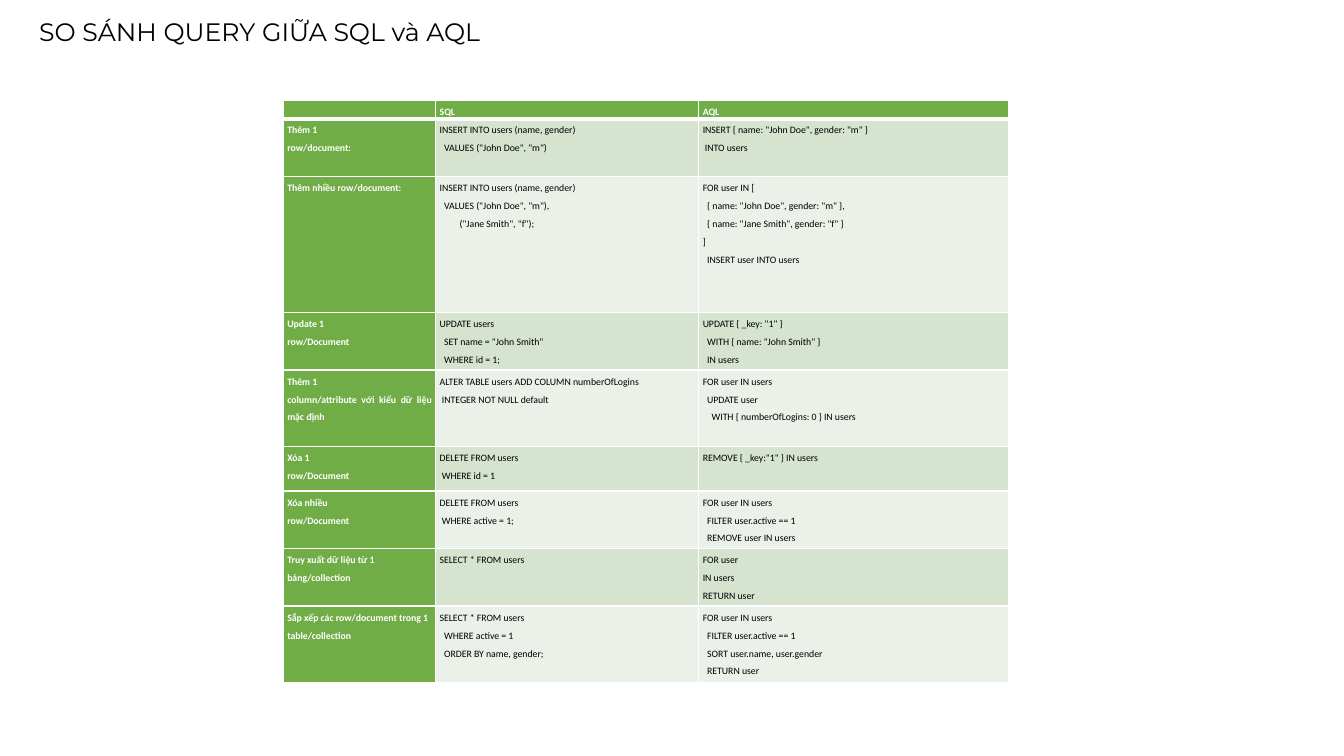
from dataclasses import dataclass

from lxml.etree import SubElement as Sub
from pptx import Presentation as Deck
from pptx.dml.color import RGBColor as Rgb
from pptx.enum.text import MSO_AUTO_SIZE as Fit, PP_ALIGN as Align
from pptx.oxml.ns import qn
from pptx.util import Cm, Pt


@dataclass(frozen=True)
class Theme:
    green: str = "70AD47"
    bands: tuple = ("D5E3CF", "EBF1E9")
    white: str = "FFFFFF"
    black: str = "000000"
    head: str = "Montserrat"
    body: str = "Calibri"
    big: int = 18
    small: int = 7
    thin: int = 1
    thick: int = 3
    step: float = 0.056  # indent in cm for one leading space


def write(frame, text, *, font, size, color, bold=False, align=None, space=None, step=0):
    """Fill a text frame; leading spaces of a line become its indent."""
    for i, line in enumerate(text.split("\n")):
        para = frame.add_paragraph() if i else frame.paragraphs[0]
        para.alignment, para.line_spacing = align, space
        words = line.lstrip()
        depth = len(line) - len(words)
        if depth:
            props = para._p.get_or_add_pPr()
            props.set("marL", str(Cm(depth * step)))
            props.set("indent", "0")
        if not words:
            para._p.get_or_add_endParaRPr().set("sz", str(size * 100))
            continue
        run = para.add_run()
        run.text = words
        run.font.name, run.font.size, run.font.bold = font, Pt(size), bold
        run.font.color.rgb = Rgb.from_string(color)


class Page:
    def __init__(self, slide, theme):
        self.slide, self.theme = slide, theme

    def title(self, text, left, top, width, height):
        t = self.theme
        box = self.slide.shapes.add_textbox(Cm(left), Cm(top), Cm(width), Cm(height))
        box.text_frame.word_wrap = True
        box.text_frame.auto_size = Fit.SHAPE_TO_FIT_TEXT
        write(box.text_frame, text, font=t.head, size=t.big, color=t.black)

    def edge(self, cell, top, bottom):
        """Add the four white borders; they must come before the fill."""
        props = cell._tc.get_or_add_tcPr()
        sides = {"L": self.theme.thin, "R": self.theme.thin, "T": top, "B": bottom}
        for side, width in sides.items():
            line = Sub(props, qn("a:ln" + side), w=str(Pt(width)))
            fill = Sub(line, qn("a:solidFill"))
            Sub(fill, qn("a:srgbClr"), val=self.theme.white)

    def cell(self, cell, text, row, col):
        t = self.theme
        label = row == 0 or col == 0
        self.edge(cell, t.thick if row == 1 else t.thin, t.thick if row == 0 else t.thin)
        cell.fill.solid()
        cell.fill.fore_color.rgb = Rgb.from_string(t.green if label else t.bands[(row - 1) % 2])
        cell.margin_left = cell.margin_right = Cm(0.1)
        cell.margin_top = cell.margin_bottom = 0
        write(cell.text_frame, text, font=t.body, size=t.small, bold=label,
              color=t.white if label else t.black,
              align=Align.JUSTIFY, space=1.5, step=t.step)

    def table(self, rows, left, top, widths, heights):
        grid = self.slide.shapes.add_table(
            len(rows), len(widths), Cm(left), Cm(top), Cm(sum(widths)), Cm(sum(heights))).table
        for col, width in zip(grid.columns, widths):
            col.width = Cm(width)
        for r, (texts, height) in enumerate(zip(rows, heights)):
            grid.rows[r].height = Cm(height)
            for c, text in enumerate(texts):
                self.cell(grid.cell(r, c), text, r, c)


# Task, SQL form, AQL form
ROWS = [
    ("", "SQL", "AQL"),
    ("Thêm 1\nrow/document:",
     'INSERT INTO users (name, gender)\n  VALUES ("John Doe", "m")',
     'INSERT { name: "John Doe", gender: "m" }\n INTO users'),
    ("Thêm nhiều row/document:",
     'INSERT INTO users (name, gender)\n  VALUES ("John Doe", "m"),\n         ("Jane Smith", "f");',
     'FOR user IN [\n  { name: "John Doe", gender: "m" },\n'
     '  { name: "Jane Smith", gender: "f" }\n]\n  INSERT user INTO users'),
    ("Update 1\nrow/Document",
     'UPDATE users\n  SET name = "John Smith"\n  WHERE id = 1;',
     'UPDATE { _key: "1" }\n  WITH { name: "John Smith" }\n  IN users'),
    ("Thêm 1\ncolumn/attribute với kiểu dữ liệu mặc định",
     "ALTER TABLE users ADD COLUMN numberOfLogins\n INTEGER NOT NULL default",
     "FOR user IN users\n  UPDATE user\n    WITH { numberOfLogins: 0 } IN users"),
    ("Xóa 1\nrow/Document",
     "DELETE FROM users\n WHERE id = 1",
     'REMOVE { _key:"1" } IN users'),
    ("Xóa nhiều\nrow/Document",
     "DELETE FROM users\n WHERE active = 1;",
     "FOR user IN users\n  FILTER user.active == 1\n  REMOVE user IN users"),
    ("Truy xuất dữ liệu từ 1\nbảng/collection",
     "SELECT * FROM users",
     "FOR user\nIN users\nRETURN user"),
    ("Sắp xếp các row/document trong 1\ntable/collection",
     "SELECT * FROM users\n  WHERE active = 1\n  ORDER BY name, gender;",
     "FOR user IN users\n  FILTER user.active == 1\n  SORT user.name, user.gender\n  RETURN user"),
]


def main():
    deck = Deck()
    deck.slide_width, deck.slide_height = Cm(33.87), Cm(19.05)
    page = Page(deck.slides.add_slide(deck.slide_layouts[6]), Theme())

    # Query table
    page.table(ROWS, 7.14, 2.54, (3.84, 6.63, 7.82),
               (0.43, 1.45, 3.43, 1.45, 1.93, 1.12, 1.45, 1.45, 1.93))

    # Heading
    page.title("SO SÁNH QUERY GIỮA SQL và AQL", 0.74, 0.28, 14.76, 1.02)

    deck.save("out.pptx")


if __name__ == "__main__":
    main()
